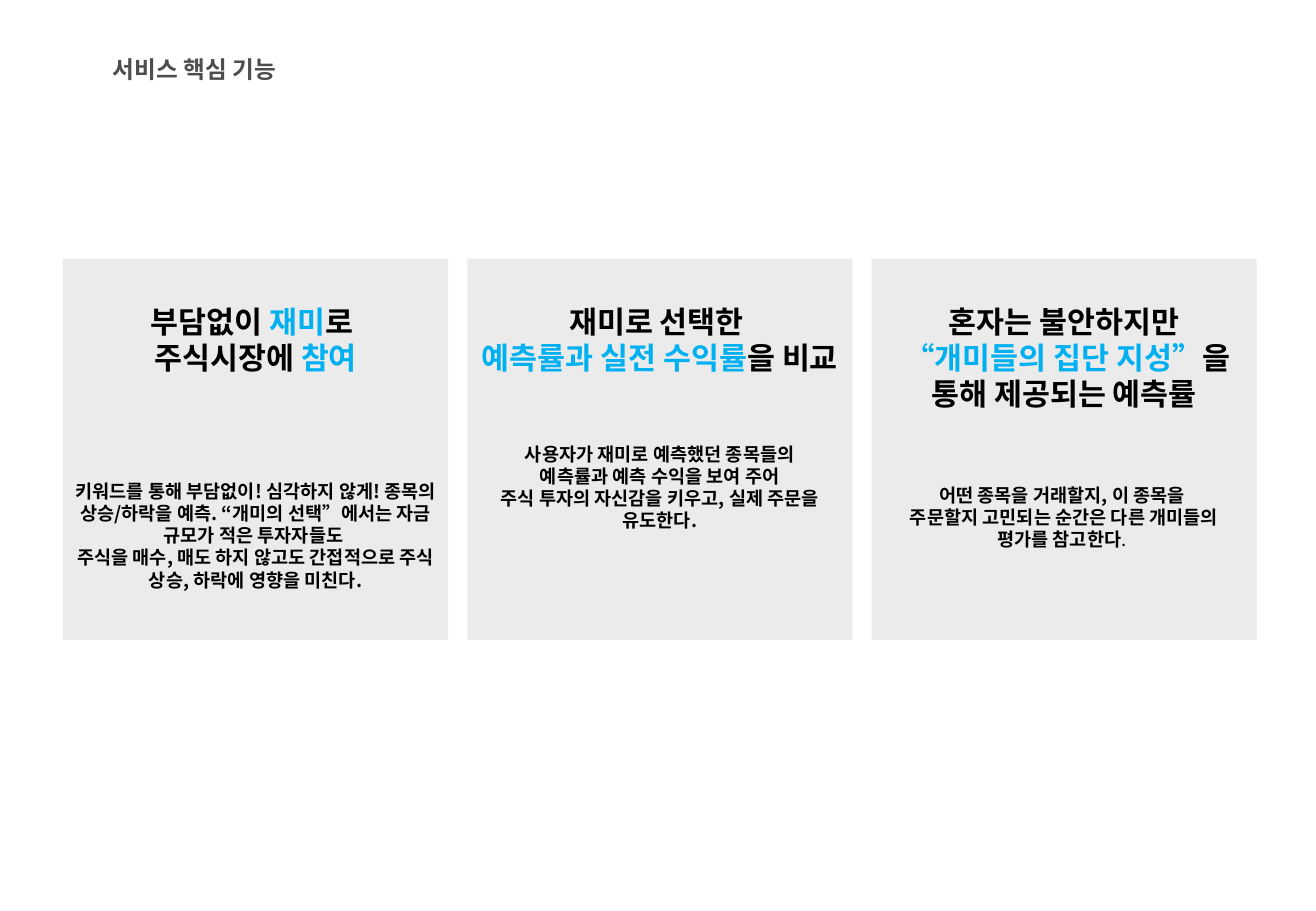
from lxml import etree
from pptx import Presentation
from pptx import util as u
from pptx.dml.color import RGBColor
from pptx.enum import shapes, text
from pptx.oxml.ns import qn

BLACK = RGBColor(0x00, 0x00, 0x00)
BLUE = RGBColor(0x00, 0xB0, 0xF0)
GREY = RGBColor(0xD9, 0xD9, 0xD9)
WHITE = RGBColor(0xFF, 0xFF, 0xFF)
KOREAN_FONT = "Noto Sans CJK KR"


def add_panel(left, top, width, height, color, opacity):
    shape = slide.shapes.add_shape(shapes.MSO_SHAPE.RECTANGLE, u.Cm(left), u.Cm(top), u.Cm(width), u.Cm(height))
    shape.shadow.inherit = False
    shape.line.fill.background()
    shape.fill.solid()
    shape.fill.fore_color.rgb = color
    color_element = shape._element.spPr.find(qn("a:solidFill"))[0]
    etree.SubElement(color_element, qn("a:alpha")).set("val", str(opacity * 1000))
    return shape


def add_run(paragraph, words, **changes):
    run = paragraph.add_run()
    run.text = words
    font_format = {"name": KOREAN_FONT, "size": u.Pt(11), "bold": True} | changes
    run.font.color.rgb = font_format.pop("color", BLACK)
    for name, value in font_format.items():
        setattr(run.font, name, value)
    etree.SubElement(run._r.get_or_add_rPr(), qn("a:ea")).set("typeface", KOREAN_FONT)


presentation = Presentation()
presentation.slide_width = u.Cm(27.51)
presentation.slide_height = u.Cm(19.05)
slide = presentation.slides.add_slide(presentation.slide_layouts[6])

title = slide.shapes.add_textbox(u.Cm(2.11), u.Cm(0.99), u.Cm(8.33), u.Cm(0.89))
title.text_frame.word_wrap = True
title.text_frame.vertical_anchor = text.MSO_ANCHOR.MIDDLE
add_run(title.text_frame.paragraphs[0], "서비스 핵심 기능", name="Calibri", size=u.Pt(14))

cards = [
    (
        [
            [("부담없이 ", BLACK), ("재미", BLUE), ("로 ", BLACK)],
            [("주식시장에 ", BLACK), ("참여", BLUE)],
        ],
        61.6,
        [
            [("키워드를 통해 부담없이! 심각하지 않게! 종목의 상승/하락을 예측. “개미의 선택”에서는 자금 규모가 적은 투자자들도 ", True)],
            [("주식을 매수, 매도 하지 않고도 간접적으로 주식 상승, 하락에 영향을 미친다.", True)],
        ],
    ),
    (
        [
            [("재미로 선택한 ", BLACK)],
            [("예측률과 실전 수익률", BLUE), ("을 비교", BLACK)],
        ],
        39.7,
        [
            [("사용자가 재미로 예측했던 종목들의", True)],
            [(" 예측률과 예측 수익을 보여 주어 ", True)],
            [("주식 투자의 자신감을 키우고, 실제 주문을", True)],
            [(" 유도한다. ", True)],
        ],
    ),
    (
        [
            [("혼자는 불안하지만", BLACK)],
            [(" ", BLACK), ("“개미들의 집단 지성”", BLUE), ("을 통해 제공되는 예측률", BLACK)],
        ],
        42.4,
        [
            [("어떤 종목을 거래할지, 이 종목을 ", True)],
            [("주문할지 고민되는 순간은 다른 개미들의 평가를 참고한다", True), (". ", False)],
        ],
    ),
]

CARD_LEFT, CARD_TOP, CARD_STEP = 1.32, 5.41, 8.45
CARD_WIDTH, CARD_HEIGHT = 8.05, 7.97

for index, (heading, gap, body) in enumerate(cards):
    card = add_panel(CARD_LEFT + index * CARD_STEP, CARD_TOP, CARD_WIDTH, CARD_HEIGHT, GREY, 50)
    frame = card.text_frame
    frame_format = {"word_wrap": True, "vertical_anchor": text.MSO_ANCHOR.TOP, "margin_top": u.Cm(0.92)}
    for name, value in frame_format.items():
        setattr(frame, name, value)
    for number, line in enumerate(heading + body):
        paragraph = frame.add_paragraph() if number else frame.paragraphs[0]
        is_heading = number < len(heading)
        paragraph_format = {
            "alignment": text.PP_ALIGN.CENTER,
            "line_spacing": u.Pt(21.6 if is_heading else 13.2),
            "space_before": u.Pt(gap if number == len(heading) else 0),
        }
        for name, value in paragraph_format.items():
            setattr(paragraph, name, value)
        for words, style in line:
            if is_heading:
                add_run(paragraph, words, size=u.Pt(18), color=style)
            else:
                add_run(paragraph, words, bold=style)

add_panel(0, 0, 8.53, 2.03, WHITE, 30)

presentation.save("out.pptx")
